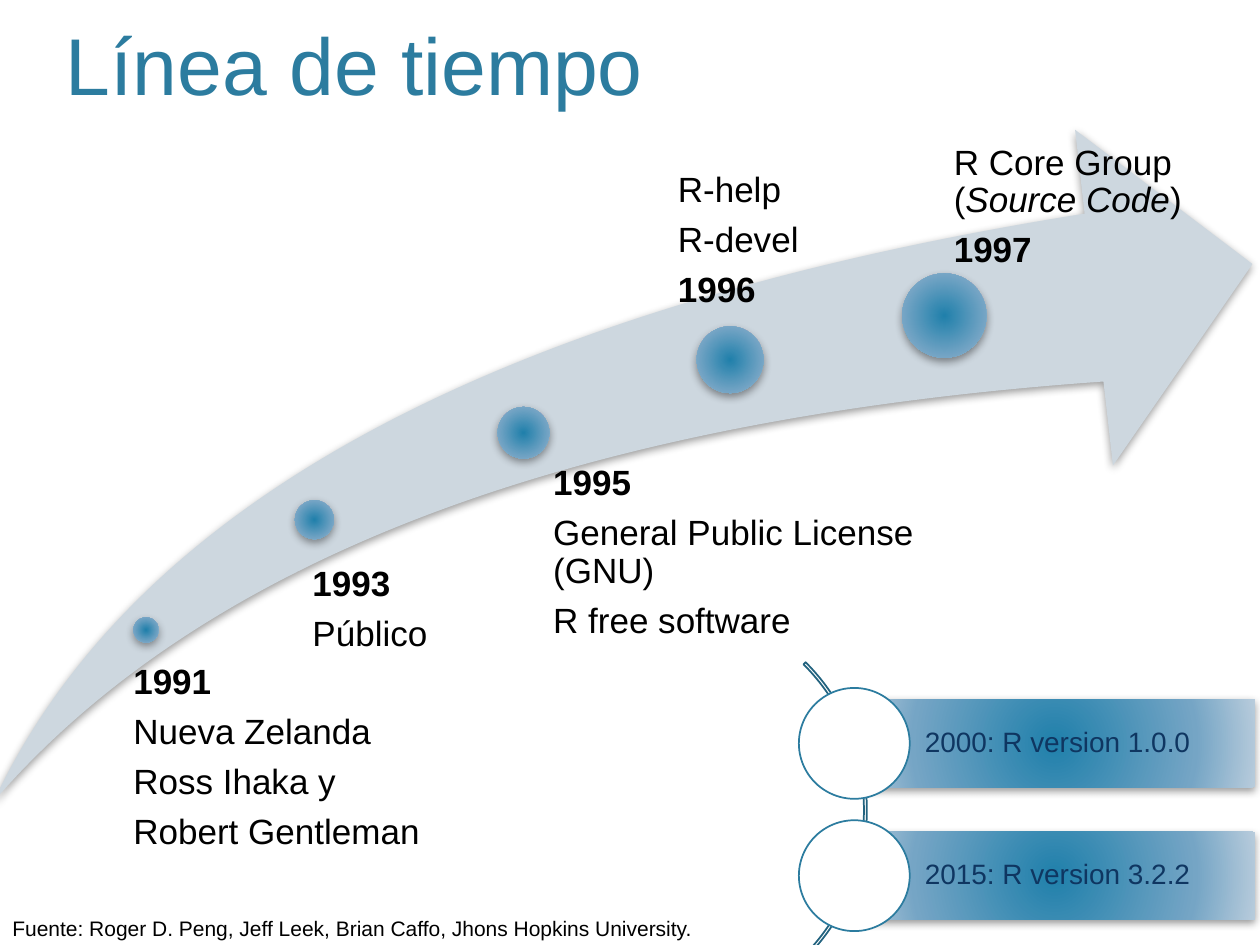
"""Build the timeline slide on the history of R."""
from dataclasses import dataclass

from pptx import Presentation
from pptx.dml.color import RGBColor
from pptx.enum.shapes import MSO_SHAPE
from pptx.enum.text import MSO_ANCHOR, PP_ALIGN
from pptx.oxml import parse_xml
from pptx.oxml.ns import nsdecls, qn
from pptx.util import Inches, Pt

OVAL, RECT, ARC = MSO_SHAPE.OVAL, MSO_SHAPE.RECTANGLE, MSO_SHAPE.BLOCK_ARC
SWOOSH = MSO_SHAPE.SWOOSH_ARROW
TOP, MIDDLE, BOTTOM = MSO_ANCHOR.TOP, MSO_ANCHOR.MIDDLE, MSO_ANCHOR.BOTTOM
LEFT, CENTER = PP_ALIGN.LEFT, PP_ALIGN.CENTER


@dataclass(frozen=True)
class Theme:
    font: str = "Arial"
    accent: str = "2C7C9F"
    arc: str = "23637F"
    swoosh: str = "CDD7DF"
    white: str = "FFFFFF"
    text: str = "000000"
    version: str = "0F3661"
    glow: tuple = ((0, "2080AB"), (69, "75A5C5"), (100, "B8CCDC"))
    title_size: int = 46
    label_size: int = 20
    version_size: int = 16
    source_size: int = 12


T = Theme()


def add_shape(kind, box, fill=None, line=None, shadow=False):
    sp = slide.shapes.add_shape(kind, *map(Inches, box))
    sp.shadow.inherit = False
    if isinstance(fill, str):
        sp.fill.solid()
        sp.fill.fore_color.rgb = RGBColor.from_string(fill)
    else:
        sp.fill.background()
    if line:
        sp.line.color.rgb = RGBColor.from_string(line)
        sp.line.width = Pt(1)
    else:
        sp.line.fill.background()
    spPr = sp._element.spPr
    if isinstance(fill, tuple):
        stops = "".join(
            f'<a:gs pos="{pos * 1000}"><a:srgbClr val="{color}"/></a:gs>' for pos, color in fill
        )
        spPr.replace(spPr.find(qn("a:noFill")), parse_xml(
            f'<a:gradFill {nsdecls("a")} rotWithShape="1"><a:gsLst>{stops}</a:gsLst>'
            '<a:path path="circle"><a:fillToRect l="100000" t="100000" r="100000" b="100000"/>'
            '</a:path></a:gradFill>'))
    if shadow:
        spPr.find(qn("a:effectLst")).append(parse_xml(
            f'<a:outerShdw {nsdecls("a")} blurRad="{Pt(5)}" dist="{Pt(2)}" dir="5400000" '
            'rotWithShape="0"><a:srgbClr val="000000"><a:alpha val="40000"/></a:srgbClr>'
            '</a:outerShdw>'))
    return sp


def write(tf, paras, size, color, insets=(0.1, 0.05, 0.1, 0.05), anchor=TOP, align=LEFT,
          spacing=0.9, after=7, wrap=True):
    tf.word_wrap = wrap
    tf.vertical_anchor = anchor
    tf.margin_left, tf.margin_top, tf.margin_right, tf.margin_bottom = map(Inches, insets)
    for i, runs in enumerate(paras):
        p = tf.paragraphs[0] if i == 0 else tf.add_paragraph()
        p.alignment = align
        p.line_spacing = spacing
        p.space_after = Pt(after)
        for text, style in runs:
            r = p.add_run()
            r.text = text
            r.font.name = T.font
            r.font.size = Pt(size)
            r.font.bold = style == "b"
            r.font.italic = style == "i"
            r.font.color.rgb = RGBColor.from_string(color)


prs = Presentation()
prs.slide_width, prs.slide_height = Inches(10), Inches(7.5)
slide = prs.slides.add_slide(prs.slide_layouts[5])

title = slide.shapes.title
title.left, title.top, title.width, title.height = map(Inches, (-0.71, -0.31, 7.22, 1.25))
write(title.text_frame, [[("Línea de tiempo ", "")]], T.title_size, T.accent,
      anchor=BOTTOM, align=CENTER, spacing=1.0, after=0)

swoosh = add_shape(SWOOSH, (-0.05, 1.03, 9.99, 5.33), T.swoosh, shadow=True)
swoosh.adjustments[0] = swoosh.adjustments[1] = 0.25

milestones = [
    ((1.06, 4.9, 0.2), (0.96, 5.27, 2.8, 1.14), 0.1,
     [[("1991", "b")], [("Nueva Zelanda", "")], [("Ross Ihaka y", "")],
      [("Robert Gentleman", "")]]),
    ((2.34, 3.97, 0.31), (2.32, 4.49, 1.42, 0.85), 0.16,
     [[("1993", "b")], [("Público", "")]]),
    ((3.95, 3.23, 0.41), (4.17, 3.69, 3.15, 1.47), 0.22,
     [[("1995", "b")], [("General Public License (GNU)", "")], [("R free software", "")]]),
    ((5.53, 2.59, 0.53), (5.1, 1.37, 1.7, 1.15), 0.28,
     [[("R-help", "")], [("R-devel", "")], [("1996", "b")]]),
    ((7.16, 2.17, 0.67), (7.21, 1.15, 2.29, 1.26), 0.36,
     [[("R Core Group (", ""), ("Source Code", "i"), (")", "")], [("1997", "b")]]),
]
for (x, y, d), box, indent, paras in milestones:
    add_shape(OVAL, (x, y, d, d), T.glow, shadow=True)
    label = slide.shapes.add_textbox(*map(Inches, box))
    write(label.text_frame, paras, T.label_size, T.text, insets=(indent, 0, 0, 0))

arc = add_shape(ARC, (3.56, 4.77, 3.32, 3.32), line=T.arc)
for i, value in enumerate((189, 27, 0.007)):
    arc.adjustments[i] = value

for i, version in enumerate(("2000: R version 1.0.0", "2015: R version 3.2.2")):
    y = 5.55 + 1.05 * i
    bar = add_shape(RECT, (6.78, y, 3.18, 0.7), T.glow, shadow=True)
    write(bar.text_frame, [[(version, "")]], T.version_size, T.version,
          insets=(0.56, 0.04, 0.04, 0.04), anchor=MIDDLE)
    add_shape(OVAL, (6.34, y - 0.09, 0.88, 0.88), T.white, T.accent)

source = slide.shapes.add_textbox(*map(Inches, (0, 7.22, 5.94, 0.3)))
write(source.text_frame,
      [[("Fuente: Roger D. Peng, Jeff Leek, Brian Caffo, Jhons Hopkins University.", "")]],
      T.source_size, T.text, spacing=1.0, after=0, wrap=False)

prs.save("out.pptx")
